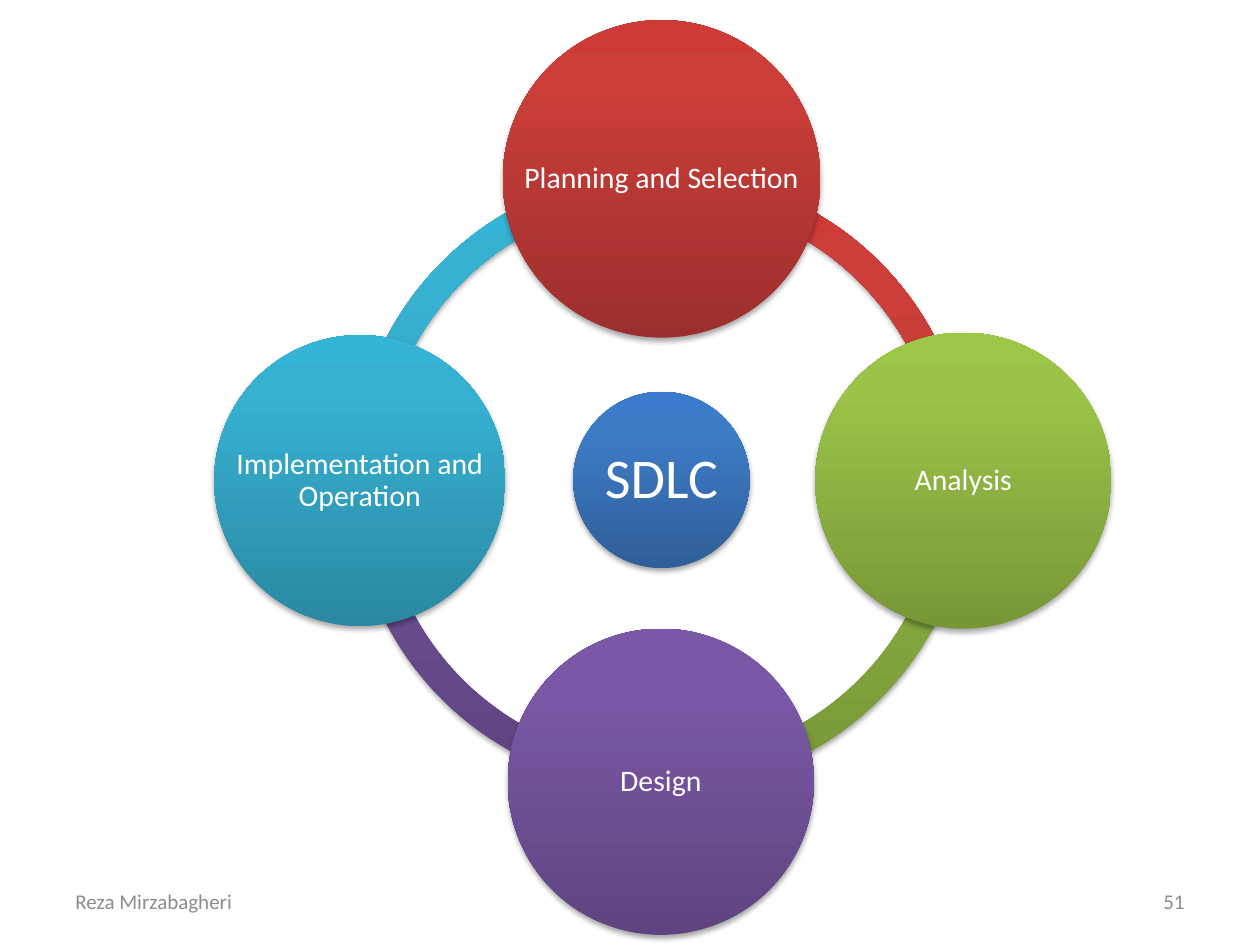
"""Build the SDLC cycle slide: four phase circles on a ring around a hub."""
import copy

import pptx
import pptx.dml.color
import pptx.enum.shapes
import pptx.enum.text
import pptx.oxml
import pptx.oxml.ns
import pptx.util

Inches = pptx.util.Inches
Shapes = pptx.enum.shapes.MSO_SHAPE
Align = pptx.enum.text.PP_ALIGN

COLORS = {
    "red": ("9C2F2D", "CB3E3A", "CE3B37"),
    "green": ("779737", "9BC348", "9DC746"),
    "purple": ("5F4480", "7B58A6", "7C57A8"),
    "teal": ("2A88A2", "37B1D2", "34B4D6"),
    "blue": ("2F5F99", "3D7CC7", "3A7CCB"),
    "white": "FFFFFF",
    "gray": "8C8C8C",
}
SHADOW = (
    f'<a:outerShdw {pptx.oxml.ns.nsdecls("a")} blurRad="40000" dist="23000" '
    'dir="5400000" rotWithShape="0"><a:srgbClr val="000000">'
    '<a:alpha val="35000"/></a:srgbClr></a:outerShdw>'
)

presentation = pptx.Presentation()
presentation.slide_width = Inches(10)
presentation.slide_height = Inches(7.5)
slide = presentation.slides.add_slide(presentation.slide_layouts[6])


def add_glossy_shape(kind, left, top, size, color):
    shape = slide.shapes.add_shape(
        kind, Inches(left), Inches(top), Inches(size), Inches(size)
    )
    shape.line.fill.background()
    shape.fill.gradient()
    shape.fill.gradient_angle = 90
    properties = shape._element.spPr
    stop_list = properties.find(".//" + pptx.oxml.ns.qn("a:gsLst"))
    stop_list.append(copy.deepcopy(stop_list[0]))
    for stop, position, value in zip(
        shape.fill.gradient_stops, (0, 0.8, 1), COLORS[color]
    ):
        stop.position = position
        stop.color.rgb = pptx.dml.color.RGBColor.from_string(value)
    shape.shadow.inherit = False
    effects = properties.find(pptx.oxml.ns.qn("a:effectLst"))
    effects.append(pptx.oxml.parse_xml(SHADOW))
    return shape


def add_label(text, left, top, width, height, size, color, align, inset=None):
    label = slide.shapes.add_textbox(
        Inches(left), Inches(top), Inches(width), Inches(height)
    )
    frame = label.text_frame
    frame.word_wrap = True
    frame.vertical_anchor = pptx.enum.text.MSO_ANCHOR.MIDDLE
    paragraph = frame.paragraphs[0]
    paragraph.text = text
    paragraph.alignment = align
    paragraph.font.name = "Calibri"
    paragraph.font.size = pptx.util.Pt(size)
    paragraph.font.color.rgb = pptx.dml.color.RGBColor.from_string(COLORS[color])
    if inset is not None:
        frame.margin_left = frame.margin_right = Inches(inset)
        frame.margin_top = frame.margin_bottom = Inches(inset)
        paragraph.line_spacing = 0.9


for color, start, end in [
    ("teal", 108, 162),
    ("purple", 54, 108),
    ("green", 0, 54),
    ("red", 162, 0),
]:
    arc = add_glossy_shape(Shapes.BLOCK_ARC, 2.79, 1.36, 4.91, color)
    arc.adjustments[0] = start
    arc.adjustments[1] = end
    arc.adjustments[2] = 0.046

for text, left, top, diameter, color, font_size, inset in [
    ("SDLC", 4.55, 3.11, 1.4, "blue", 32, 0.04),
    ("Planning and Selection", 3.99, 0.16, 2.52, "red", 17, 0.02),
    ("Analysis", 6.47, 2.64, 2.35, "green", 17, 0.02),
    ("Design", 4.03, 4.99, 2.43, "purple", 17, 0.02),
    ("Implementation and Operation", 1.7, 2.66, 2.31, "teal", 17, 0.02),
]:
    add_glossy_shape(Shapes.OVAL, left, top, diameter, color)
    add_label(
        text, left, top, diameter, diameter, font_size, "white", Align.CENTER, inset
    )

add_label("51", 7.17, 6.95, 2.33, 0.4, 12, "gray", Align.RIGHT)
add_label("Reza Mirzabagheri", 0.5, 6.95, 3.17, 0.4, 12, "gray", Align.LEFT)

presentation.save("out.pptx")
